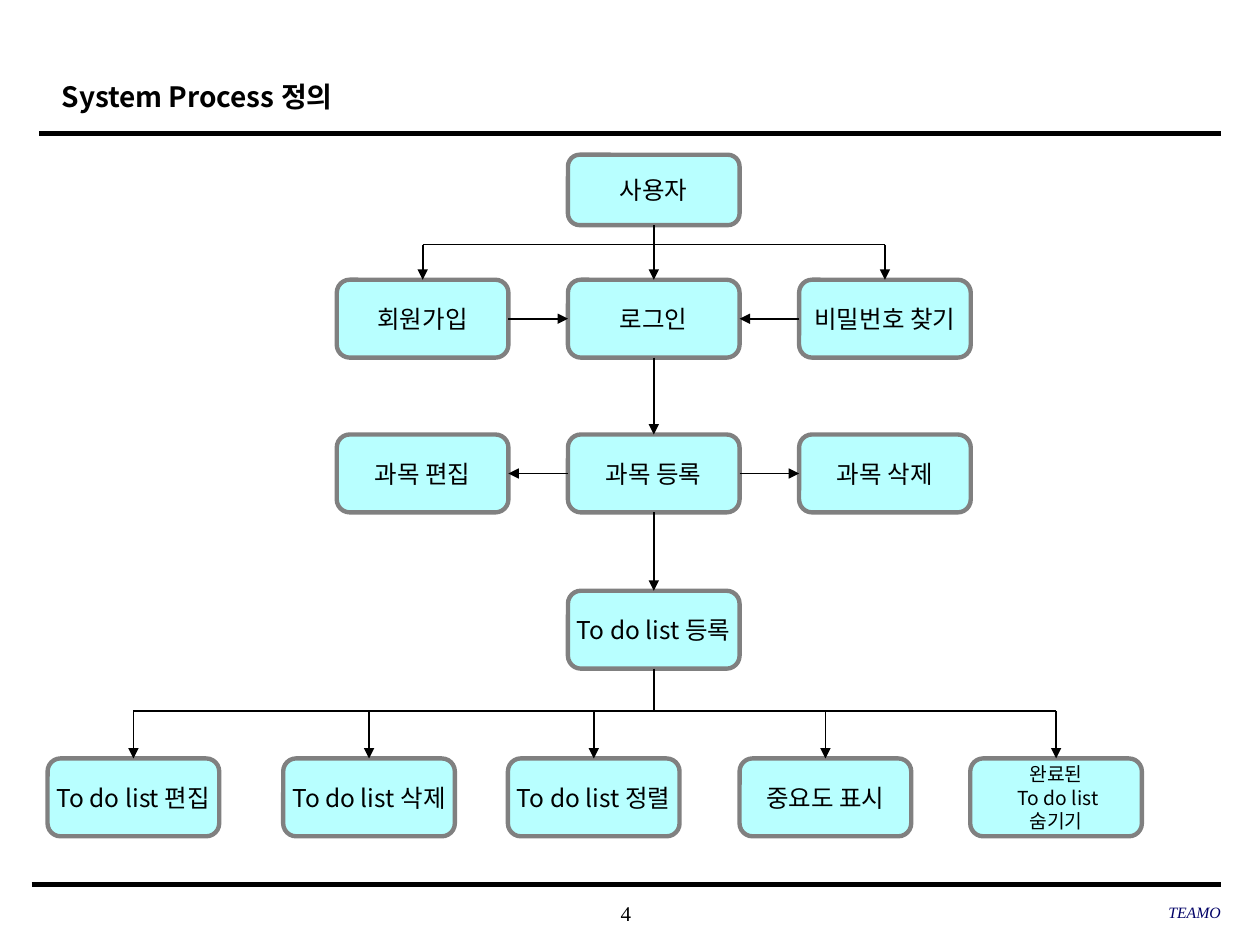
from dataclasses import dataclass

from lxml.etree import SubElement
from pptx import Presentation
from pptx.dml.color import RGBColor
from pptx.enum.shapes import MSO_CONNECTOR, MSO_SHAPE
from pptx.enum.text import MSO_ANCHOR, MSO_AUTO_SIZE, PP_ALIGN
from pptx.oxml.ns import qn
from pptx.util import Cm, Pt

SANS, SERIF = "Noto Sans CJK KR", "Times New Roman"
BLACK, NAVY, GRAY, AQUA = "000000", "000066", "808080", "B8FFFF"
BOX_W, BOX_H = 3.46, 1.57


@dataclass
class Box:
    text: str
    cx: float
    top: float
    h: float = BOX_H
    size: float = 14

    @property
    def left(self) -> float:
        return self.cx - BOX_W / 2

    @property
    def right(self) -> float:
        return self.cx + BOX_W / 2

    @property
    def bottom(self) -> float:
        return self.top + self.h

    @property
    def cy(self) -> float:
        return self.top + self.h / 2


def rgb(color: str) -> RGBColor:
    return RGBColor.from_string(color)


def add_run(p, text: str, size: float, font: str = SANS, color: str = BLACK,
            bold: bool = False, italic: bool = False) -> None:
    r = p.add_run()
    r.text = text
    f = r.font
    f.size, f.name, f.bold, f.italic = Pt(size), font, bold, italic
    f.color.rgb = rgb(color)
    SubElement(r._r.get_or_add_rPr(), qn("a:ea"), typeface=font)


def add_line(x1: float, y1: float, x2: float, y2: float,
             width: float = 1, arrow: bool = False) -> None:
    c = s.shapes.add_connector(MSO_CONNECTOR.STRAIGHT, Cm(x1), Cm(y1), Cm(x2), Cm(y2))
    c.line.color.rgb = rgb(BLACK)
    c.line.width = Pt(width)
    if arrow:
        SubElement(c.line._get_or_add_ln(), qn("a:tailEnd"), type="triangle")
    SubElement(c._element.spPr, qn("a:effectLst"))


def add_box(b: Box) -> None:
    sp = s.shapes.add_shape(MSO_SHAPE.ROUNDED_RECTANGLE,
                            Cm(b.left), Cm(b.top), Cm(BOX_W), Cm(b.h))
    sp.shadow.inherit = False
    sp.fill.solid()
    sp.fill.fore_color.rgb = rgb(AQUA)
    sp.line.color.rgb = rgb(GRAY)
    sp.line.width = Pt(2.5)
    tf = sp.text_frame
    tf.word_wrap = False
    tf.vertical_anchor = MSO_ANCHOR.MIDDLE
    for i, text in enumerate(b.text.split("\n")):
        p = tf.add_paragraph() if i else tf.paragraphs[0]
        p.alignment = PP_ALIGN.CENTER
        add_run(p, text, b.size)


def add_footer(text: str, x: float, y: float, w: float, align: PP_ALIGN,
               size: float, color: str = BLACK, italic: bool = False) -> None:
    tf = s.shapes.add_textbox(Cm(x), Cm(y), Cm(w), Cm(0.84)).text_frame
    tf.word_wrap = True
    tf.vertical_anchor = MSO_ANCHOR.MIDDLE
    tf.margin_left = tf.margin_right = tf.margin_top = tf.margin_bottom = 0
    p = tf.paragraphs[0]
    p.alignment = align
    add_run(p, text, size, SERIF, color, italic=italic)


def join(a: Box, b: Box) -> None:
    """Arrow between neighbouring boxes, sideways or downwards."""
    if a.cx == b.cx:
        add_line(a.cx, a.bottom, b.cx, b.top, arrow=True)
    elif a.cx < b.cx:
        add_line(a.right, a.cy, b.left, b.cy, arrow=True)
    else:
        add_line(a.left, a.cy, b.right, b.cy, arrow=True)


def branch(y: float, children: list[Box]) -> None:
    """Horizontal bar with an arrow down to each child."""
    add_line(children[0].cx, y, children[-1].cx, y)
    for b in children:
        add_line(b.cx, y, b.cx, b.top, arrow=True)


prs = Presentation()
prs.slide_width, prs.slide_height = Cm(25.4), Cm(19.05)
s = prs.slides.add_slide(prs.slide_layouts[5])

# Title
sp = s.shapes.title
sp.left, sp.top, sp.width, sp.height = Cm(0.99), Cm(1.24), Cm(19.18), Cm(1.27)
tf = sp.text_frame
tf.auto_size = MSO_AUTO_SIZE.NONE
tf.vertical_anchor = MSO_ANCHOR.MIDDLE
p = tf.paragraphs[0]
p.alignment = PP_ALIGN.LEFT
p.line_spacing = 1.2
add_run(p, "System Process 정의", 16, bold=True)

# Rules and footer
add_line(0.79, 2.69, 24.61, 2.69, 2.5)
add_line(0.64, 17.83, 24.61, 17.83, 3)
add_footer("4", 9.98, 17.98, 5.28, PP_ALIGN.CENTER, 12)
add_footer("TEAMO", 16.84, 17.96, 7.77, PP_ALIGN.RIGHT, 9, NAVY, True)

# Boxes
MID, STEP = 13.18, 4.66
columns = [MID - STEP, MID, MID + STEP]
user = Box("사용자", MID, 3.12, 1.42)
account = [Box(t, x, 5.64) for t, x in zip(["회원가입", "로그인", "비밀번호 찾기"], columns)]
subject = [Box(t, x, 8.76) for t, x in zip(["과목 편집", "과목 등록", "과목 삭제"], columns)]
todo = Box("To do list 등록", MID, 11.91)
actions = [Box(t, x, 15.29) for t, x in [
    ("To do list 편집", 2.69), ("To do list 삭제", 7.44), ("To do list 정렬", 11.97),
    ("중요도 표시", 16.64), ("완료된\n To do list\n숨기기", 21.29)]]
actions[-1].size = 11
for box in [user, *account, *subject, todo, *actions]:
    add_box(box)

# Arrows
signup, login, password = account
edit, register, delete = subject
for a, b in [(user, login), (signup, login), (password, login), (login, register),
             (register, edit), (register, delete), (register, todo)]:
    join(a, b)
branch(4.93, [signup, password])
add_line(MID, todo.bottom, MID, 14.33)
branch(14.33, actions)

prs.save("out.pptx")
